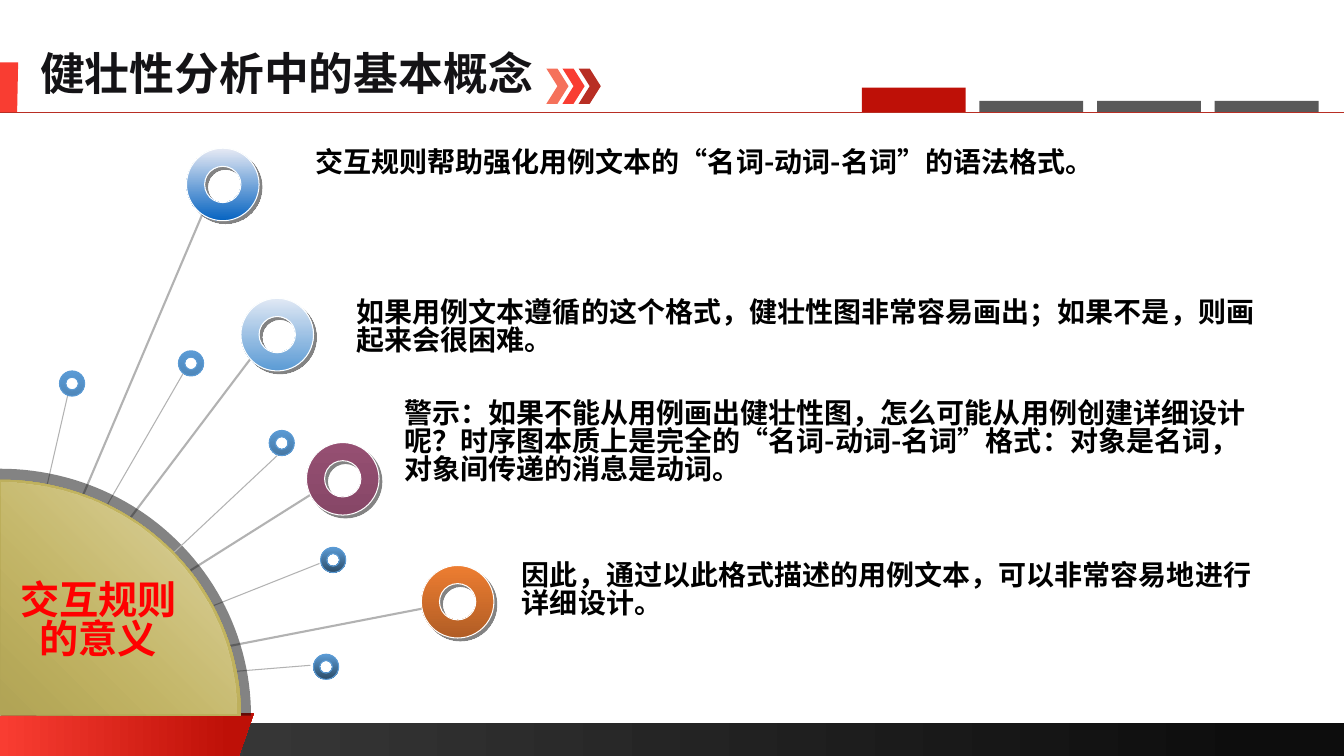
import math

import pptx
import pptx.dml.color
import pptx.enum.shapes
import pptx.enum.text
import pptx.oxml
import pptx.oxml.ns
import pptx.oxml.xmlchemy
import pptx.util

RGBColor = pptx.dml.color.RGBColor
MSO_SHAPE = pptx.enum.shapes.MSO_SHAPE
PP_ALIGN = pptx.enum.text.PP_ALIGN
OxmlElement = pptx.oxml.xmlchemy.OxmlElement
Pt = pptx.util.Pt
qn = pptx.oxml.ns.qn

# The slide is a grid of square cells, 133.33 columns by 75 rows
CELL = pptx.util.Inches(0.1)
COLUMNS, ROWS = 133.33, 75
FONT = "Noto Sans CJK SC"
LINE_SPACING = 0.83

WHITE = RGBColor(0xFE, 0xFF, 0xFF)
BLACK = RGBColor(0x00, 0x00, 0x00)
INK = RGBColor(0x14, 0x13, 0x16)
SHADE = RGBColor(0x08, 0x08, 0x08)
LABEL_RED = RGBColor(0xFF, 0x00, 0x00)
BRIGHT_RED = RGBColor(0xF9, 0x3D, 0x32)
DEEP_RED = RGBColor(0xBE, 0x10, 0x07)
RULE_RED = RGBColor(0xB8, 0x2E, 0x24)
CORAL = RGBColor(0xF5, 0x71, 0x5B)
TAB_GREY = RGBColor(0x59, 0x59, 0x59)
SPOKE_GREY = RGBColor(0xB2, 0xB2, 0xB2)
BAR_LIGHT = RGBColor(0x40, 0x40, 0x40)
BAR_DARK = RGBColor(0x0D, 0x0D, 0x0D)
OLIVE = RGBColor(0xB1, 0xA4, 0x56)
SAND = RGBColor(0xCB, 0xBC, 0x63)
PALE_SAND = RGBColor(0xE0, 0xD8, 0xB2)
BLUE = RGBColor(0x5B, 0x9B, 0xD5)
SOFT_BLUE = RGBColor(0x4F, 0x87, 0xBA)
MID_BLUE = RGBColor(0x46, 0x77, 0xA3)
NAVY = RGBColor(0x2C, 0x4C, 0x68)
ICE = RGBColor(0xE7, 0xEA, 0xF4)
ROYAL = RGBColor(0x05, 0x63, 0xC1)
MIST = RGBColor(0xE0, 0xE8, 0xF4)
PLUM = RGBColor(0x95, 0x4F, 0x72)
DEEP_PLUM = RGBColor(0x87, 0x47, 0x67)
ORANGE = RGBColor(0xED, 0x7D, 0x31)
RUST = RGBColor(0xB1, 0x5D, 0x25)

HUB = (0, 68.5)
RING, DOT = 7.2, 2.5

# Ring left and top, gradient, spoke start, text box, words
CALLOUTS = [
    (18.5, 14.7, (ICE, ROYAL), (20.4, 20.5), (30.3, 14.4, 96.2, 4.4),
     "交互规则帮助强化用例文本的“名词-动词-名词”的语法格式。"),
    (23.9, 29.6, (MIST, BLUE), (25.3, 35), (34.4, 29.3, 92.2, 7.7),
     "如果用例文本遵循的这个格式，健壮性图非常容易画出；如果不是，则画起来会很困难。"),
    (30.4, 43.9, (PLUM, DEEP_PLUM), (31.1, 48.9), (39.1, 39.3, 87.5, 11.1),
     "警示：如果不能从用例画出健壮性图，怎么可能从用例创建详细设计呢？"
     "时序图本质上是完全的“名词-动词-名词”格式：对象是名词，对象间传递的消息是动词。"),
    (41.8, 56.1, (ORANGE, RUST), (42.3, 60.3), (50.8, 55.4, 75.7, 7.7),
     "因此，通过以此格式描述的用例文本，可以非常容易地进行详细设计。"),
]
# Dot left and top, lower colour, spoke start
DOTS = [
    (5.9, 36.8, SOFT_BLUE, (6.7, 39.3)),
    (17.7, 34.8, SOFT_BLUE, (18.2, 37)),
    (31.8, 54.3, NAVY, (31.7, 55.9)),
    (31.1, 64.9, NAVY, (30.8, 66)),
]
# This dot's spoke runs over the dark rim of the quarter disc
RIM_DOT = (26.7, 42.7, MID_BLUE, (27.5, 45.2))


def cells(*counts):
    return [round(count * CELL) for count in counts]


def set_alpha(color_element, percent):
    alpha = OxmlElement("a:alpha")
    alpha.set("val", str(percent * 1000))
    color_element.append(alpha)


def paint(shape, colors, angle=0, end=1, line=None):
    """Fill with one colour, or with a gradient when two are given."""
    shape.shadow.inherit = False
    if len(colors) == 1:
        shape.fill.solid()
        shape.fill.fore_color.rgb = colors[0]
    else:
        shape.fill.gradient()
        shape.fill.gradient_angle = angle
        for stop, color, place in zip(shape.fill.gradient_stops, colors, (0, end)):
            stop.color.rgb = color
            stop.position = place
    if line is None:
        shape.line.fill.background()
    else:
        shape.line.color.rgb = line
        shape.line.width = Pt(0.75)
    return shape


def add_preset(slide, kind, box, colors, **style):
    return paint(slide.shapes.add_shape(kind, *cells(*box)), colors, **style)


def add_outline(slide, points, colors, **style):
    start, *rest = [cells(*point) for point in points]
    builder = slide.shapes.build_freeform(*start)
    builder.add_line_segments(rest)
    return paint(builder.convert_to_shape(), colors, **style)


def add_quarter(slide, left, bottom, width, height, colors, **style):
    steps = 48
    turns = [math.pi / 2 * step / steps for step in range(steps + 1)]
    arc = [(left + width * math.sin(turn), bottom - height * math.cos(turn))
           for turn in turns]
    return add_outline(slide, arc + [(left, bottom)], colors, **style)


def add_rule(slide, start, finish, color, weight):
    rule = slide.shapes.add_connector(
        pptx.enum.shapes.MSO_CONNECTOR.STRAIGHT, *cells(*start, *finish))
    rule.line.color.rgb = color
    rule.line.width = Pt(weight)
    rule._element.spPr.append(OxmlElement("a:effectLst"))


def add_ring(slide, left, top, size, colors, line):
    return add_preset(slide, MSO_SHAPE.DONUT, (left, top, size, size), colors,
                      angle=270, line=line)


def drop_shadow(shape):
    shadow = pptx.oxml.parse_xml(
        f'<a:outerShdw {pptx.oxml.ns.nsdecls("a")} dist="{Pt(2.8)}" dir="2700000" '
        f'algn="ctr" rotWithShape="0"><a:srgbClr val="{SHADE}">'
        '<a:alpha val="50000"/></a:srgbClr></a:outerShdw>')
    shape._element.spPr.find(qn("a:effectLst")).append(shadow)


def add_words(slide, box, words, size, color, align=PP_ALIGN.LEFT, wrap=True):
    frame = slide.shapes.add_textbox(*cells(*box)).text_frame
    frame.word_wrap = wrap
    paragraph = frame.paragraphs[0]
    paragraph.text = words
    paragraph.alignment = align
    paragraph.line_spacing = LINE_SPACING
    font = paragraph.font
    font.size, font.bold, font.name = Pt(size), True, FONT
    font.color.rgb = color
    east_asian = OxmlElement("a:ea")
    east_asian.set("typeface", FONT)
    font._element.append(east_asian)


def add_frame(slide):
    # Footer bar, its red corner and the red mark beside the title
    add_preset(slide, MSO_SHAPE.RECTANGLE, (0, 71.7, COLUMNS, 3.3),
               (BAR_LIGHT, BAR_DARK), end=0.94)
    add_outline(slide, [(0, 70.7), (25.2, 70.7), (23.7, ROWS), (0, ROWS)],
                (BRIGHT_RED, DEEP_RED), end=0.91)
    add_outline(slide, [(0, 6.2), (1.8, 6.2), (1.7, 11.2), (0, 11.2)], (BRIGHT_RED,))


def add_hub(slide):
    # Quarter disc: translucent rim, body, sheen and label
    rim = add_quarter(slide, 0, 71, 24.9, 24.5, (SHADE,))
    set_alpha(rim._element.spPr.find(qn("a:solidFill"))[0], 50)
    add_rule(slide, RIM_DOT[3], (0, 71), SPOKE_GREY, 0.75)
    add_quarter(slide, 0, 71, 23.9, 23.4, (OLIVE, SAND), angle=45)
    sheen = add_quarter(slide, 0.2, 70.8, 23.3, 22.9, (SAND, PALE_SAND), angle=45)
    set_alpha(sheen._element.spPr.find(".//" + qn("a:srgbClr")), 0)
    add_words(slide, (0.8, 57.4, 17.9, 10.4), "交互规则的意义", 28, LABEL_RED,
              PP_ALIGN.CENTER)


def add_header(slide):
    add_words(slide, (3, 4.9, 51.4, 6.4), "健壮性分析中的基本概念", 32, INK, wrap=False)
    add_rule(slide, (0, 11.1), (COLUMNS, 11.1), RULE_RED, 0.5)
    for index, color in enumerate((CORAL, BRIGHT_RED, RULE_RED)):
        add_preset(slide, MSO_SHAPE.CHEVRON, (54.2 + 1.6 * index, 6.8, 2.2, 3.5), (color,))
    # Section tabs, the first one current
    for index in range(4):
        top, color = (8.7, DEEP_RED) if index == 0 else (10, TAB_GREY)
        add_preset(slide, MSO_SHAPE.RECTANGLE,
                   (85.5 + 11.67 * index, top, 10.3, 11.1 - top), (color,))


def main():
    deck = pptx.Presentation()
    deck.slide_width, deck.slide_height = cells(COLUMNS, ROWS)
    slide = deck.slides.add_slide(deck.slide_layouts[6])
    add_frame(slide)
    # Spokes lie under the quarter disc
    for *_, start in DOTS:
        add_rule(slide, start, HUB, SPOKE_GREY, 0.75)
    for callout in CALLOUTS:
        add_rule(slide, callout[3], HUB, SPOKE_GREY, 1.5)
    add_hub(slide)
    for left, top, color, _ in DOTS + [RIM_DOT]:
        add_ring(slide, left, top, DOT, (BLUE, color), BLUE)
    for left, top, colors, _, box, words in CALLOUTS:
        drop_shadow(add_ring(slide, left, top, RING, colors, WHITE))
        add_words(slide, box, words, 20, BLACK)
    add_header(slide)
    deck.save("out.pptx")


if __name__ == "__main__":
    main()
